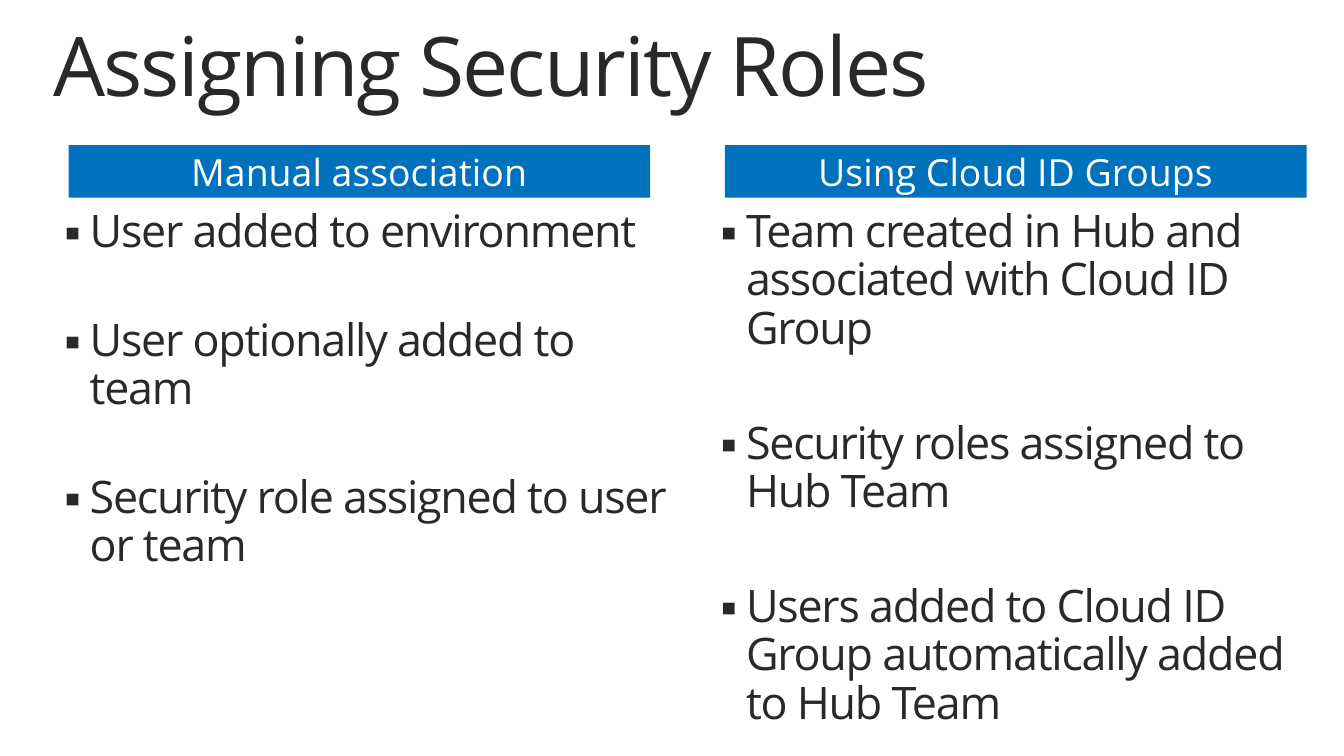
from pptx import Presentation
from pptx.dml.color import RGBColor
from pptx.enum.shapes import MSO_SHAPE as Shape
from pptx.enum.text import MSO_ANCHOR as Anchor, PP_ALIGN as Align
from pptx.oxml import parse_xml
from pptx.oxml.ns import nsdecls
from pptx.util import Inches, Pt

WIDTH, HEIGHT = 13.33, 7.5
INK, BLUE, WHITE = "292929", "0071BC", "FFFFFF"
FIRST_COLUMN, COLUMN_STEP = 0.64, 6.51
COLUMNS = [
    ("Manual association", 3.12, 43,
     ["User added to environment",
      "User optionally added to team",
      "Security role assigned to user or team"]),
    ("Using Cloud ID Groups", 4.79, 47.5,
     ["Team created in Hub and associated with Cloud ID Group",
      "Security roles assigned to Hub Team",
      "Users added to Cloud ID Group automatically added to Hub Team"]),
]


def color(value):
    """Turn a hex string into a colour."""
    return RGBColor.from_string(value)


def apply(target, formats):
    """Set every attribute in a dict of format values."""
    for key, value in formats.items():
        setattr(target, key, value)


def write(paragraph, text, size, ink, tracking=0):
    """Write one run of text in a paragraph."""
    run = paragraph.add_run()
    run.text = text
    apply(run.font, {"name": "Open Sans", "size": Pt(size)})
    run.font.color.rgb = color(ink)
    if tracking:
        run.font._element.set("spc", str(round(tracking * 100)))


def add_text_area(slide, left, top, width, height):
    """Add a wrapping text area without margins."""
    area = slide.shapes.add_textbox(*map(Inches, (left, top, width, height)))
    apply(area.text_frame, {"word_wrap": True, "margin_left": 0, "margin_right": 0,
                            "margin_top": 0, "margin_bottom": 0})
    return area.text_frame


def add_bullet(paragraph):
    """Give a paragraph a small square bullet with a hanging indent."""
    props = paragraph._p.get_or_add_pPr()
    props.set("marL", str(Inches(0.25)))
    props.set("indent", str(-Inches(0.25)))
    for markup in (f'<a:buClr {nsdecls("a")}><a:srgbClr val="{INK}"/></a:buClr>',
                   f'<a:buSzPct {nsdecls("a")} val="90000"/>',
                   f'<a:buFont {nsdecls("a")} typeface="Open Sans"/>',
                   f'<a:buChar {nsdecls("a")} char="▪"/>'):
        props.append(parse_xml(markup))


def add_title(slide, text):
    """Add the slide title."""
    paragraph = add_text_area(slide, 0.53, 0.25, 12.35, 0.89).paragraphs[0]
    paragraph.line_spacing = 0.9
    write(paragraph, text, 58.7, INK, -1.3)


def add_heading(slide, left, text):
    """Add the blue band above a column."""
    band = slide.shapes.add_shape(Shape.RECTANGLE, *map(Inches, (left, 1.44, 5.77, 0.52)))
    band.shadow.inherit = False
    band.fill.solid()
    band.fill.fore_color.rgb = color(BLUE)
    band.line.fill.background()
    apply(band.text_frame, {"word_wrap": True, "vertical_anchor": Anchor.MIDDLE,
                            "margin_left": Inches(0.13), "margin_right": Inches(0.13),
                            "margin_top": Inches(0.07), "margin_bottom": Inches(0.07)})
    paragraph = band.text_frame.paragraphs[0]
    paragraph.alignment = Align.CENTER
    write(paragraph, text, 26.7, WHITE)


def add_steps(slide, left, height, gap, steps):
    """Add the bulleted steps of a column."""
    frame = add_text_area(slide, left, 2.07, 6.03, height)
    for index, step in enumerate(steps):
        paragraph = frame.add_paragraph() if index else frame.paragraphs[0]
        apply(paragraph, {"line_spacing": 0.9, "space_before": Pt(gap if index else 6.4)})
        add_bullet(paragraph)
        write(paragraph, step, 32, INK, -0.9)


def main():
    """Build the slide and save it."""
    deck = Presentation()
    apply(deck, {"slide_width": Inches(WIDTH), "slide_height": Inches(HEIGHT)})
    slide = deck.slides.add_slide(deck.slide_layouts[6])
    add_title(slide, "Assigning Security Roles")
    for column, (heading, height, gap, steps) in enumerate(COLUMNS):
        left = FIRST_COLUMN + column * COLUMN_STEP
        add_steps(slide, left, height, gap, steps)
        add_heading(slide, left + 0.04, heading)
    deck.save("out.pptx")


main()
